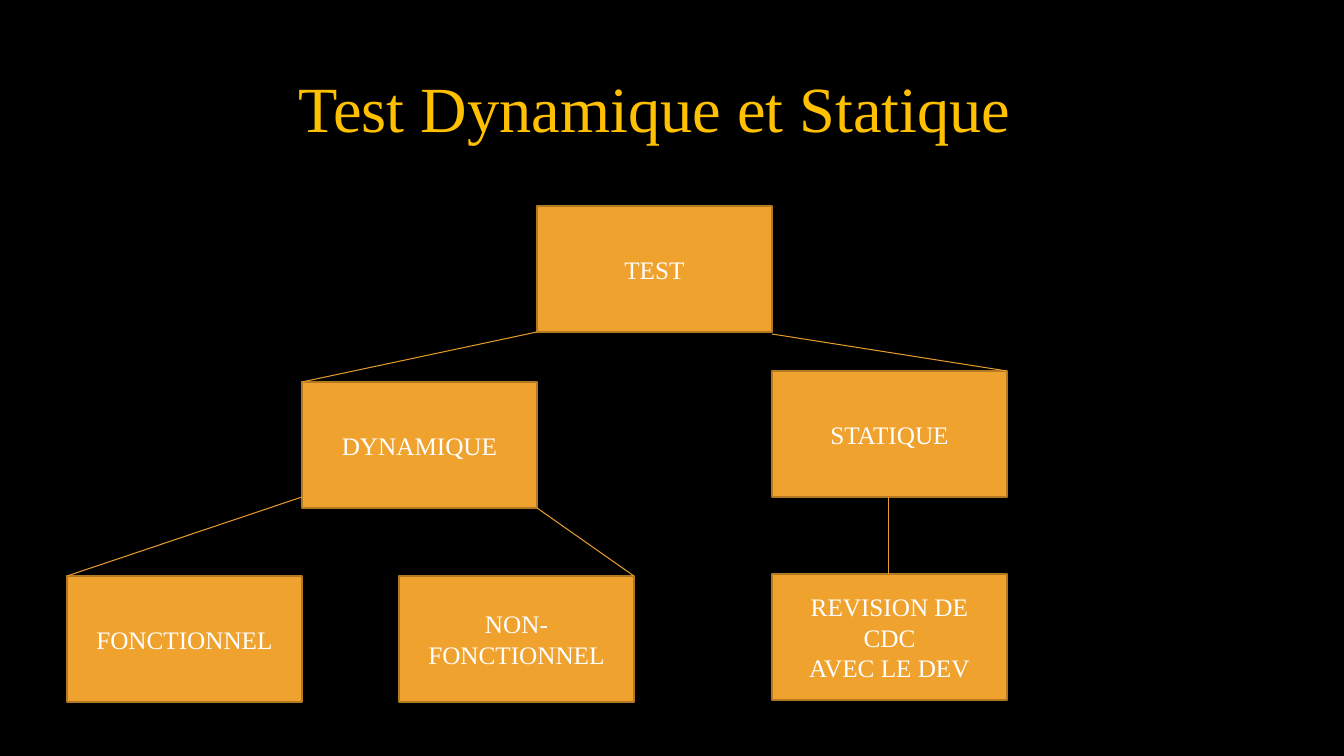
from pptx import Presentation
from pptx import util as u
from pptx.dml.color import RGBColor
from pptx.enum import shapes, text
from pptx.oxml.ns import qn
from lxml import etree

EMU_PER_PX = u.Inches(1) / 100.8
COLORS = {
    "background": "000000",
    "title": "FFC000",
    "box": "F0A22E",
    "border": "B27822",
    "link": "E59B2C",
    "label": "FFFFFF",
}
BOX_W, BOX_H = 235, 126


def px(n):
    return u.Emu(round(n * EMU_PER_PX))


def rgb(name):
    return RGBColor.from_string(COLORS[name])


def write(tf, content, size=18, color="label", font="Times New Roman", spacing=1.0):
    """Fill a frame with centred text, one paragraph per line."""
    tf.word_wrap = True
    tf.vertical_anchor = text.MSO_ANCHOR.MIDDLE
    for i, line in enumerate(content.split("\n")):
        p = tf.add_paragraph() if i else tf.paragraphs[0]
        p.alignment = text.PP_ALIGN.CENTER
        p.line_spacing = spacing
        r = p.add_run()
        r.text = line
        r.font.size = u.Pt(size)
        r.font.name = font
        r.font.color.rgb = rgb(color)


class TreeSlide:
    def __init__(self, prs):
        self.s = prs.slides.add_slide(prs.slide_layouts[6])
        fill = self.s.background.fill
        fill.solid()
        fill.fore_color.rgb = rgb("background")

    def title(self, content, x, y, w, h):
        sp = self.s.shapes.add_textbox(px(x), px(y), px(w), px(h))
        write(sp.text_frame, content, size=46, color="title", spacing=0.9)

    def box(self, content, x, y):
        sp = self.s.shapes.add_shape(
            shapes.MSO_SHAPE.RECTANGLE, px(x), px(y), px(BOX_W), px(BOX_H))
        sp.shadow.inherit = False
        sp.fill.solid()
        sp.fill.fore_color.rgb = rgb("box")
        sp.line.color.rgb = rgb("border")
        sp.line.width = u.Pt(1.25)
        write(sp.text_frame, content)

    def link(self, x1, y1, x2, y2):
        c = self.s.shapes.add_connector(
            shapes.MSO_CONNECTOR.STRAIGHT, px(x1), px(y1), px(x2), px(y2))
        c.line.color.rgb = rgb("link")
        c.line.width = u.Pt(0.75)
        etree.SubElement(c._element.spPr, qn("a:effectLst"))


def main():
    prs = Presentation()
    prs.slide_width, prs.slide_height = px(1344), px(756)
    tree = TreeSlide(prs)
    tree.title("Test Dynamique et Statique", 84, 42, 1141, 139)

    boxes = [
        ("TEST", 537, 206),
        ("DYNAMIQUE", 302, 382),
        ("STATIQUE", 772, 371),
        ("FONCTIONNEL", 67, 576),
        ("NON-FONCTIONNEL", 399, 576),
        ("REVISION DE CDC\nAVEC LE DEV", 772, 574),
    ]
    for box in boxes:
        tree.box(*box)

    links = [
        (537, 332, 302, 382),
        (772, 334, 1007, 371),
        (302, 497, 67, 576),
        (537, 508, 634, 576),
        (889, 497, 889, 574),
    ]
    for link in links:
        tree.link(*link)

    prs.save("out.pptx")


if __name__ == "__main__":
    main()
